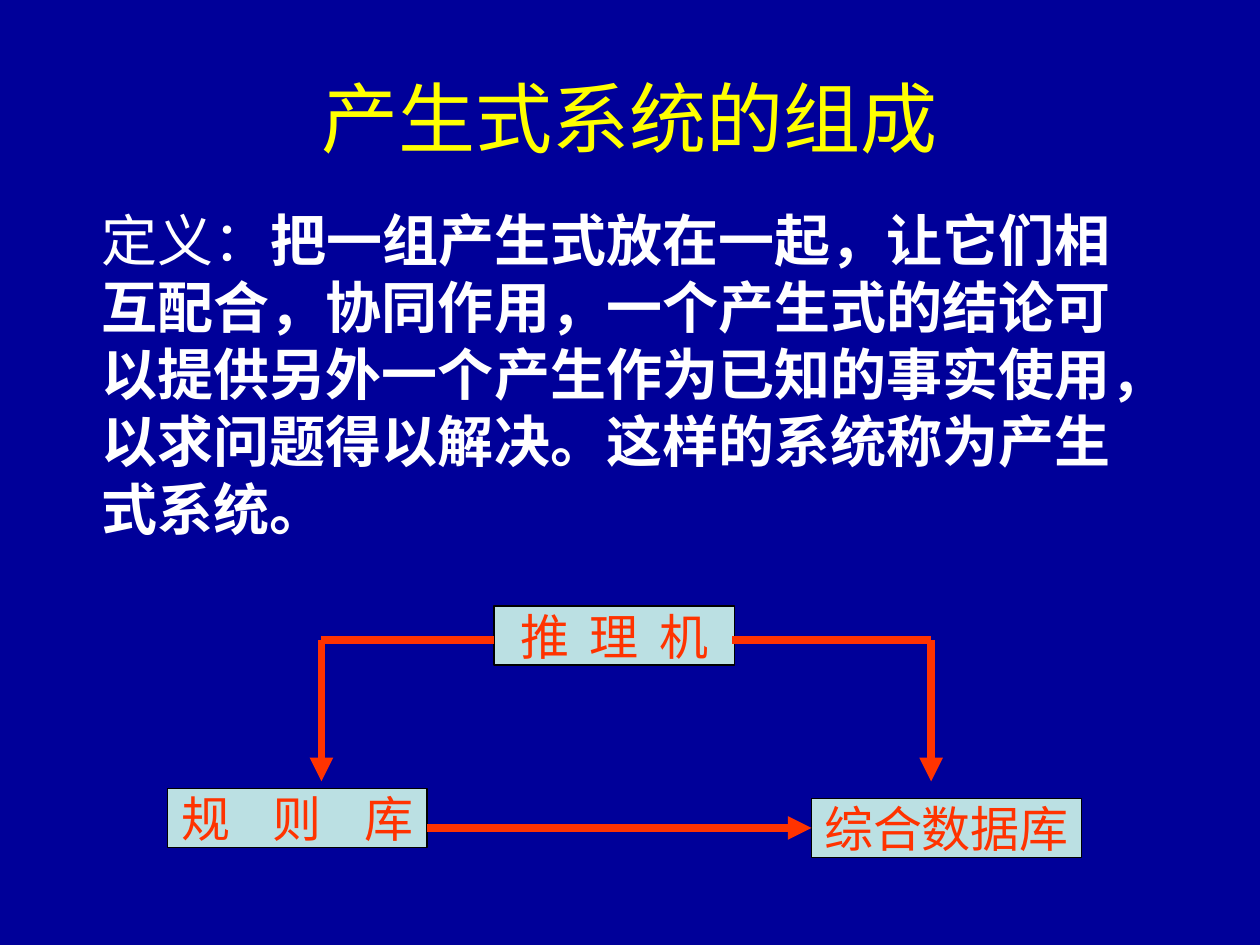
from typing import NamedTuple

from lxml.etree import SubElement
from pptx import Presentation
from pptx.dml.color import RGBColor
from pptx.enum.shapes import MSO_CONNECTOR, MSO_SHAPE
from pptx.enum.text import MSO_ANCHOR, PP_ALIGN
from pptx.oxml.ns import qn
from pptx.util import Cm, Pt

COLORS = {"back": "000099", "title": "FFFF00", "body": "FFFFFF",
          "box": "BBE0E3", "border": "000000", "accent": "FF3300"}
SERIF = "Times New Roman"
SANS = "Noto Sans CJK SC"
BOX_HEIGHT = 1.19


class Box(NamedTuple):
    text: str
    left: float
    top: float
    width: float
    tracking: float = 0  # points


class Link(NamedTuple):
    x1: float
    y1: float
    x2: float
    y2: float
    arrow: bool = False


RULES = Box("规 则 库", 3.38, 15.9, 5.23, 9)
ENGINE = Box("推 理 机", 9.96, 12.22, 4.85, 2.75)
DATABASE = Box("综合数据库", 16.36, 16.1, 5.44)

ENGINE_Y, RULES_Y, TIP_Y = 12.9, 16.69, 15.75
LEFT_X, RIGHT_X = 6.48, 18.77
LINKS = [
    Link(RULES.left + RULES.width, RULES_Y, DATABASE.left, RULES_Y, True),
    Link(ENGINE.left, ENGINE_Y, LEFT_X, ENGINE_Y),
    Link(14.76, ENGINE_Y, RIGHT_X, ENGINE_Y),
    Link(LEFT_X, ENGINE_Y, LEFT_X, TIP_Y, True),
    Link(RIGHT_X, ENGINE_Y, RIGHT_X, TIP_Y, True),
]


def rgb(name: str) -> RGBColor:
    return RGBColor.from_string(COLORS[name])


def add_run(p, text: str, size: float, color: str, font: str = SERIF,
            bold: bool = False, tracking: float = 0) -> None:
    r = p.add_run()
    r.text = text
    r.font.size = Pt(size)
    r.font.name = font
    r.font.bold = bold
    r.font.color.rgb = rgb(color)
    SubElement(r.font._element, qn("a:ea")).set("typeface", SANS)
    if tracking:
        r.font._element.set("spc", str(round(tracking * 100)))


def place(sp, left: float, top: float, width: float, height: float) -> None:
    sp.left, sp.top = Cm(left), Cm(top)
    sp.width, sp.height = Cm(width), Cm(height)


def add_box(s, box: Box) -> None:
    sp = s.shapes.add_shape(MSO_SHAPE.RECTANGLE, Cm(box.left), Cm(box.top),
                            Cm(box.width), Cm(BOX_HEIGHT))
    sp.shadow.inherit = False
    sp.fill.solid()
    sp.fill.fore_color.rgb = rgb("box")
    sp.line.color.rgb = rgb("border")
    sp.line.width = Pt(0.75)
    tf = sp.text_frame
    tf.margin_left = tf.margin_right = tf.margin_top = tf.margin_bottom = 0
    tf.vertical_anchor = MSO_ANCHOR.MIDDLE
    p = tf.paragraphs[0]
    p.alignment = PP_ALIGN.CENTER
    # The last character stays untracked so that the label is centred.
    add_run(p, box.text[:-1], 28, "accent", tracking=box.tracking)
    add_run(p, box.text[-1], 28, "accent")


def add_link(s, link: Link) -> None:
    c = s.shapes.add_connector(MSO_CONNECTOR.STRAIGHT, Cm(link.x1), Cm(link.y1),
                               Cm(link.x2), Cm(link.y2))
    c.line.color.rgb = rgb("accent")
    c.line.width = Pt(4.5)
    if link.arrow:
        SubElement(c.line._get_or_add_ln(), qn("a:tailEnd")).set("type", "triangle")
    SubElement(c._element.spPr, qn("a:effectLst"))


def fill_title(sp) -> None:
    place(sp, 1.27, 0.76, 22.86, 3.18)
    sp.text_frame.vertical_anchor = MSO_ANCHOR.MIDDLE
    p = sp.text_frame.paragraphs[0]
    p.alignment = PP_ALIGN.CENTER
    add_run(p, "产生式系统的组成", 44, "title", SANS)


def fill_definition(sp) -> None:
    place(sp, 0.84, 4.01, 22.86, 7.42)
    p = sp.text_frame.paragraphs[0]
    pPr = p._p.get_or_add_pPr()
    pPr.set("marL", str(Cm(0.96)))
    pPr.set("indent", "0")
    SubElement(pPr, qn("a:buNone"))
    p.space_before = Pt(0)
    p.line_spacing = Pt(38.4)
    add_run(p, "定义：", 32, "body")
    add_run(p, "把一组产生式放在一起，让它们相互配合，协同作用，"
               "一个产生式的结论可以提供另外一个产生作为已知的事实使用，"
               "以求问题得以解决。这样的系统称为产生式系统。", 32, "body", bold=True)


def main() -> None:
    prs = Presentation()
    prs.slide_width, prs.slide_height = Cm(25.4), Cm(19.05)
    s = prs.slides.add_slide(prs.slide_layouts[1])
    s.background.fill.solid()
    s.background.fill.fore_color.rgb = rgb("back")
    fill_title(s.shapes.title)
    fill_definition(s.placeholders[1])
    for box in (RULES, ENGINE, DATABASE):
        add_box(s, box)
    for link in LINKS:
        add_link(s, link)
    prs.save("out.pptx")


if __name__ == "__main__":
    main()
